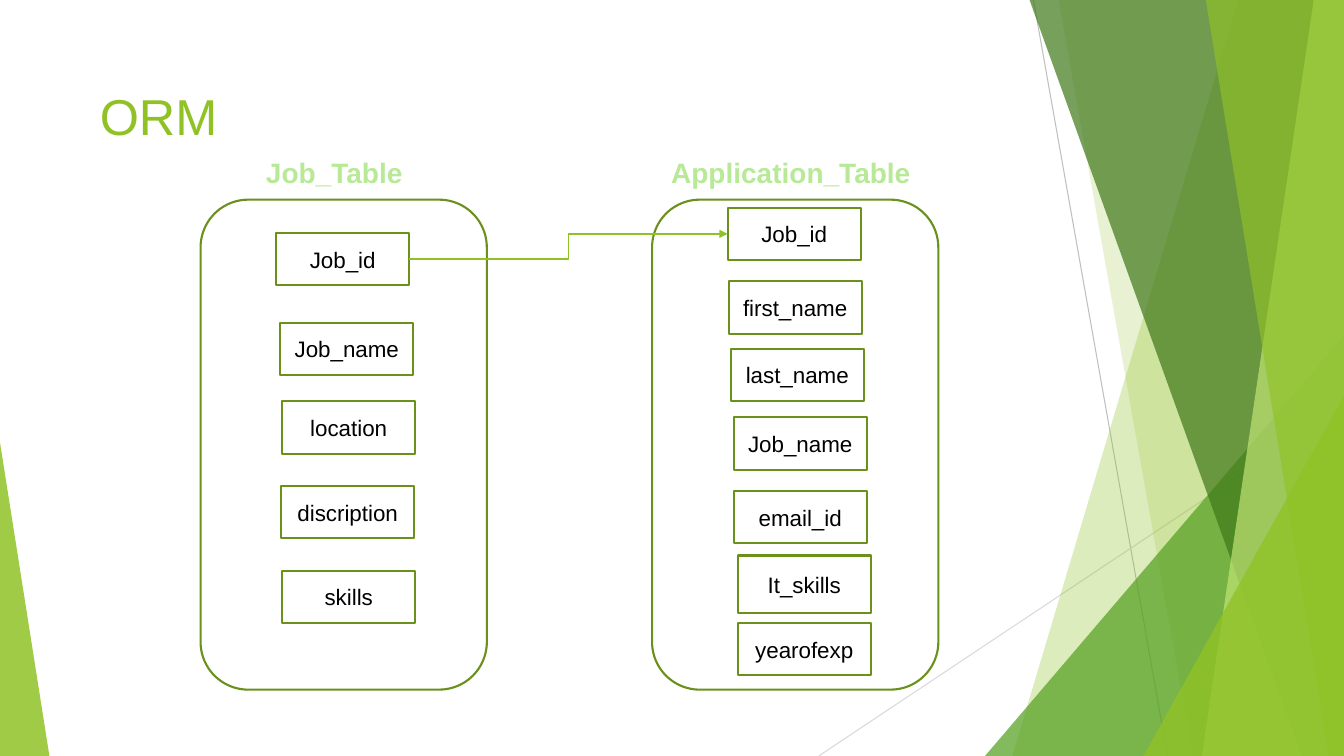
from dataclasses import dataclass

from lxml import etree
from pptx import Presentation
from pptx.dml.color import RGBColor
from pptx.enum.shapes import MSO_CONNECTOR as Connector, MSO_SHAPE as Preset
from pptx.enum.text import MSO_ANCHOR as Anchor, PP_ALIGN as Align
from pptx.oxml.ns import qn
from pptx.util import Pt


@dataclass(frozen=True)
class Theme:
    font: str = "Arial"
    green: str = "90C226"
    leaf: str = "54A021"
    forest: str = "3F7819"
    lime: str = "C0E474"
    outline: str = "6B901C"
    heading: str = "B7E996"
    text: str = "000000"
    grey: str = "BFBFBF"
    light_grey: str = "D9D9D9"
    title_size: int = 36
    heading_size: int = 20
    field_size: int = 16


THEME = Theme()
WIDTH, HEIGHT = 960, 540
FIELD_WIDTH, FIELD_HEIGHT = 95, 37.4


def points(*values):
    return [Pt(value) for value in values]


def write(shape, text, size, color, bold=False, align=Align.LEFT, anchor=Anchor.TOP, wrap=True):
    frame = shape.text_frame
    frame.word_wrap = wrap
    frame.vertical_anchor = anchor
    paragraph = frame.paragraphs[0]
    paragraph.alignment = align
    run = paragraph.add_run()
    run.text = text
    run.font.name = THEME.font
    run.font.size = Pt(size)
    run.font.bold = bold
    run.font.color.rgb = RGBColor.from_string(color)


def fill_glass(shape, color, opacity):
    """Fill with a see-through colour and no outline."""
    shape.shadow.inherit = False
    shape.fill.solid()
    shape.fill.fore_color.rgb = RGBColor.from_string(color)
    shape.line.fill.background()
    color_node = shape.fill._xPr.find(qn("a:solidFill"))[0]
    etree.SubElement(color_node, qn("a:alpha"), val=str(opacity * 1000))


def add_outlined(slide, preset, box):
    shape = slide.shapes.add_shape(preset, *points(*box))
    shape.shadow.inherit = False
    shape.fill.background()
    shape.line.color.rgb = RGBColor.from_string(THEME.outline)
    shape.line.width = Pt(1.5)
    return shape


def add_line(slide, kind, ends, color, width, arrow=False):
    line = slide.shapes.add_connector(kind, *points(*ends))
    line.line.color.rgb = RGBColor.from_string(color)
    line.line.width = Pt(width)
    if arrow:
        etree.SubElement(line.line._get_or_add_ln(), qn("a:tailEnd"), type="triangle")
    etree.SubElement(line._element.spPr, qn("a:effectLst"))
    return line


def add_band(slide, box, top_left, top_right, bottom_left, bottom_right, color, opacity):
    """Full-height band whose corners are given as x offsets in the box."""
    left, top, _, height = box
    bottom = top + height
    corners = [(top_left, top), (top_right, top), (bottom_right, bottom), (bottom_left, bottom)]
    outline = [(Pt(left + x), Pt(y)) for x, y in corners]
    builder = slide.shapes.build_freeform(*outline[0])
    builder.add_line_segments(outline[1:], close=True)
    fill_glass(builder.convert_to_shape(), color, opacity)


def add_triangle(slide, box, width, height, apex, color, opacity):
    """Triangle in the bottom corner of the box on the side of its apex."""
    left = box[0] + (box[2] - width) * apex
    top = box[1] + box[3] - height
    triangle = slide.shapes.add_shape(Preset.ISOSCELES_TRIANGLE, *points(left, top, width, height))
    triangle.adjustments[0] = apex
    fill_glass(triangle, color, opacity)


def add_facets(slide, box):
    """Overlapping green facets on the right side."""
    left, top, width, height = box
    right, bottom = left + width, top + height
    add_line(slide, Connector.STRAIGHT, (left + 34.6, top, left + 130.4, bottom), THEME.grey, 0.75)
    add_line(slide, Connector.STRAIGHT, (right, top + 290.2, left - 118.8, bottom),
             THEME.light_grey, 0.75)
    add_band(slide, box, 180.8, width, 19.5, width, THEME.green, 30)
    add_band(slide, box, 52.6, width, 148.4, width, THEME.green, 20)
    add_triangle(slide, box, width, 300.2, 1, THEME.leaf, 72)
    add_band(slide, box, 31.8, width, 226.2, width, THEME.forest, 70)
    add_band(slide, box, 234.8, width, 154.9, width, THEME.lime, 70)
    add_band(slide, box, 157.7, width, 245.6, width, THEME.green, 65)
    add_triangle(slide, box, 143.3, 257, 1, THEME.green, 80)


def add_title(slide, box, text):
    title = slide.shapes.title
    title.left, title.top, title.width, title.height = points(*box)
    write(title, text, THEME.title_size, THEME.green)


def add_entity(slide, box, name, name_left, name_width, fields):
    """Rounded frame with a name above it; returns its first field."""
    left, top = box[:2]
    add_outlined(slide, Preset.ROUNDED_RECTANGLE, box)
    label = slide.shapes.add_textbox(*points(left + name_left, top - 35.3, name_width, 31.7))
    write(label, name, THEME.heading_size, THEME.heading, bold=True, wrap=False)
    shapes = []
    for text, x, y, height in fields:
        field = add_outlined(slide, Preset.RECTANGLE, (left + x, top + y, FIELD_WIDTH, height))
        write(field, text, THEME.field_size, THEME.text, align=Align.CENTER, anchor=Anchor.MIDDLE)
        shapes.append(field)
    return shapes[0]


def add_relation(slide, source, target):
    """Elbow arrow from the right side of one field to the left of another."""
    arrow = add_line(slide, Connector.ELBOW, (0, 0, 0, 0), THEME.green, 1, arrow=True)
    arrow.begin_connect(source, 3)
    arrow.end_connect(target, 1)


# Field name, offset in its frame, height
JOB_FIELDS = [
    ("Job_id", 54, 23.8, FIELD_HEIGHT),
    ("Job_name", 56.9, 87.8, FIELD_HEIGHT),
    ("location", 58.3, 144, FIELD_HEIGHT),
    ("discription", 57.6, 204.5, FIELD_HEIGHT),
    ("skills", 58.3, 265, FIELD_HEIGHT),
]
APPLICATION_FIELDS = [
    ("Job_id", 54, 5.8, FIELD_HEIGHT),
    ("first_name", 54.7, 58.3, FIELD_HEIGHT),
    ("last_name", 56.2, 106.6, FIELD_HEIGHT),
    ("Job_name", 58.3, 155.5, FIELD_HEIGHT),
    ("email_id", 58.3, 208.1, FIELD_HEIGHT),
    ("It_skills", 61.2, 254.2, 41),
    ("yearofexp", 61.2, 302.4, FIELD_HEIGHT),
]

presentation = Presentation()
presentation.slide_width, presentation.slide_height = points(WIDTH, HEIGHT)
slide = presentation.slides.add_slide(presentation.slide_layouts[5])

# Background
add_facets(slide, (703.6, 0, 256.4, HEIGHT))
add_triangle(slide, (0, 0, WIDTH, HEIGHT), 35.3, 223.9, 0, THEME.green, 85)

# Title and the two related tables
add_title(slide, (64.1, 56.9, 133.2, 72), "ORM")
job_id = add_entity(slide, (143.3, 142.6, 204.5, 350), "Job_Table", 39.6, 113, JOB_FIELDS)
application_job_id = add_entity(slide, (465.8, 142.6, 204.5, 350), "Application_Table",
                                6.5, 187.2, APPLICATION_FIELDS)
add_relation(slide, job_id, application_job_id)

presentation.save("out.pptx")
